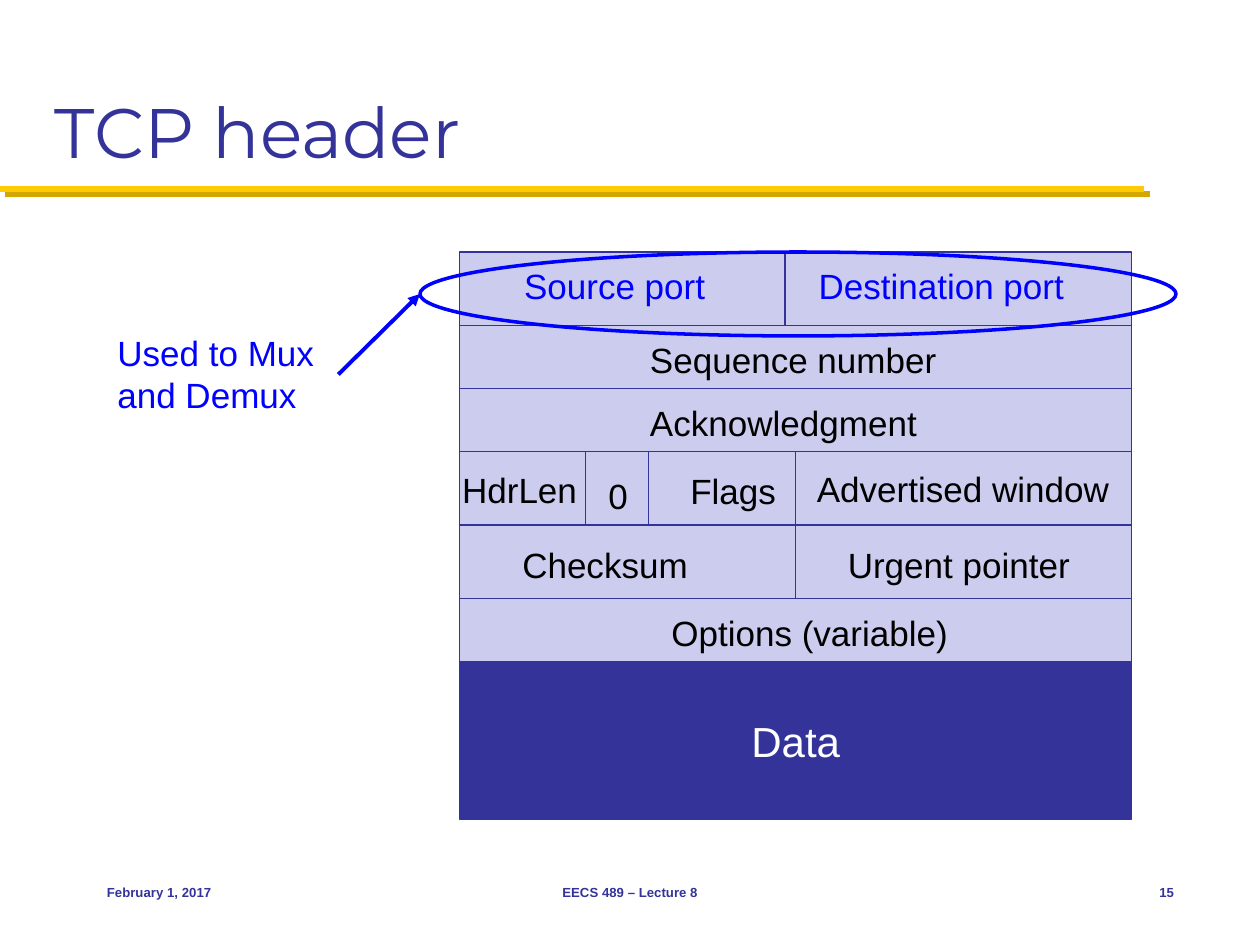
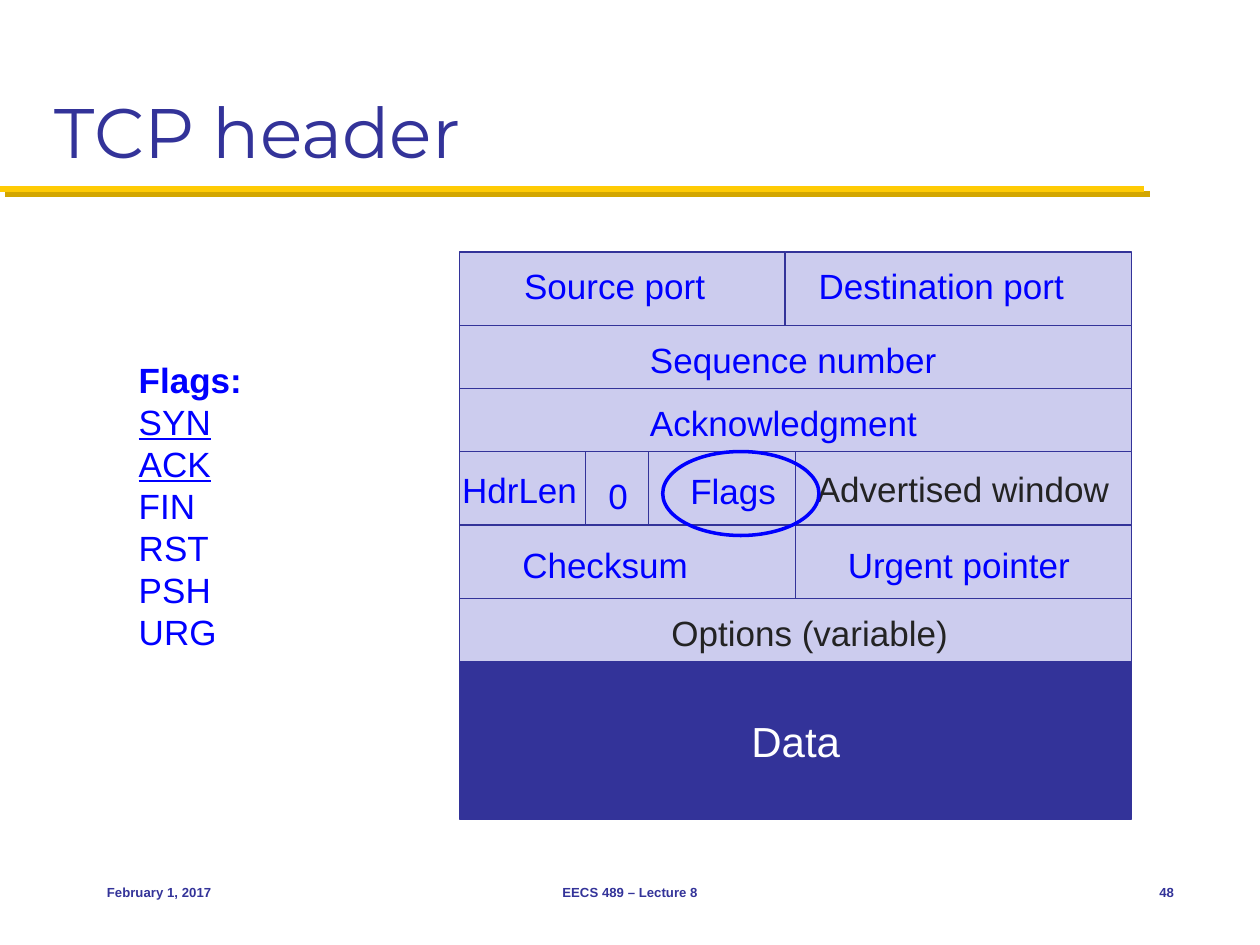
from dataclasses import dataclass
from itertools import accumulate
from typing import Any, NamedTuple

from lxml import etree
from pptx import Presentation, util as u
from pptx.dml import color
from pptx.enum import shapes, text
from pptx.oxml import ns

Pt = u.Pt
ALIGN, ANCHOR, AUTO = text.PP_ALIGN, text.MSO_ANCHOR, text.MSO_AUTO_SIZE


@dataclass(frozen=True)
class Theme:
    navy: str = "333399"
    lilac: str = "CCCCEE"
    blue: str = "0000FF"
    black: str = "000000"
    charcoal: str = "232323"
    white: str = "FFFFFF"
    gold: str = "FFCB05"
    dark_gold: str = "D3A600"
    title_font: str = "Montserrat"
    body_font: str = "Arial"
    title_size: float = 40
    data_size: float = 24
    body_size: float = 20
    footer_size: float = 7.5
    border: float = 0.75
    ring: float = 2
    arrow: float = 2.25
    rule: float = 3.5


T = Theme()


class Box(NamedTuple):
    x: float
    y: float
    w: float
    h: float


class Line(NamedTuple):
    """A paragraph with its character format."""
    text: str
    fmt: dict[str, Any] = {}


class Label(NamedTuple):
    """A field name, placed from the top left corner of its row."""
    text: str
    dx: float
    dy: float
    w: float
    filled: bool = True


class Row(NamedTuple):
    height: float
    widths: tuple[float, ...]
    labels: tuple[Label, ...]
    dividers: tuple[float, ...] = ()


class Footer(NamedTuple):
    x: float
    w: float
    align: Any


# Header diagram: rows from top to bottom
LEFT, TOP, WIDTH, DATA_HEIGHT, LABEL_HEIGHT = 262.67, 144, 384, 90, 31
HALF = WIDTH / 2
ROWS = (
    Row(42, (186, 198), (Label("Source port", 29.7, 3.6, 120),
                         Label("Destination port", 198, 3.6, 157))),
    Row(36, (WIDTH,), (Label("Sequence number", 101.7, 4, 180),)),
    Row(36, (WIDTH,), (Label("Acknowledgment", 101.7, 4, 169),)),
    Row(42, (HALF, HALF), (Label("Advertised window", 197, 5.5, 184),
                           Label("HdrLen", -5.7, 6, 84, False),
                           Label("Flags", 124.7, 7, 65),
                           Label("0", 77.9, 9.6, 27)), (72, 108)),
    Row(42, (HALF, HALF), (Label("Checksum", 28.7, 7, 111),
                           Label("Urgent pointer", 214.7, 7, 144))),
    Row(36, (WIDTH,), (Label("Options (variable)", 113.9, 4, 175),)),
)
FOOTERS = (Footer(54, 150, ALIGN.LEFT), Footer(246, 228, ALIGN.CENTER),
           Footer(630, 48, ALIGN.RIGHT))


def rgb(value: str) -> color.RGBColor:
    return color.RGBColor.from_string(value)


def apply(obj: Any, values: dict[str, Any]) -> None:
    for name, value in values.items():
        setattr(obj, name, value)


def write(tf: Any, lines: list[Line], ink: str, size: float = T.body_size,
          font: str = T.body_font, align: Any = ALIGN.LEFT, **frame: Any) -> None:
    apply(tf, frame)
    for i, line in enumerate(lines):
        p = tf.add_paragraph() if i else tf.paragraphs[0]
        p.alignment = align
        r = p.add_run()
        r.text = line.text
        apply(r.font, {"name": font, "size": Pt(size), **line.fmt})
        r.font.color.rgb = rgb(ink)


def add_text(s: Any, box: Box, lines: list[Line], ink: str, fill: str = "",
             **style: Any) -> None:
    sp = s.shapes.add_textbox(*map(Pt, box))
    if fill:
        sp.fill.solid()
        sp.fill.fore_color.rgb = rgb(fill)
    write(sp.text_frame, lines, ink, **style)


def add_shape(s: Any, kind: Any, box: Box, line: str, width: float,
              fill: str = "") -> Any:
    sp = s.shapes.add_shape(kind, *map(Pt, box))
    sp.shadow.inherit = False
    if fill:
        sp.fill.solid()
        sp.fill.fore_color.rgb = rgb(fill)
    else:
        sp.fill.background()
    sp.line.color.rgb = rgb(line)
    sp.line.width = Pt(width)
    return sp


def add_line(s: Any, x1: float, y1: float, x2: float, y2: float, ink: str,
             width: float, arrow: bool = False, shadow: str = "") -> None:
    sp = s.shapes.add_connector(shapes.MSO_CONNECTOR.STRAIGHT,
                                *map(Pt, (x1, y1, x2, y2)))
    sp.line.color.rgb = rgb(ink)
    sp.line.width = Pt(width)
    if arrow:
        etree.SubElement(sp.line._get_or_add_ln(), ns.qn("a:tailEnd"), type="triangle")
    effects = etree.SubElement(sp._element.spPr, ns.qn("a:effectLst"))
    if shadow:
        cast = etree.SubElement(effects, ns.qn("a:outerShdw"), blurRad="0",
                                dist=str(Pt(4.2)), dir="2700000", rotWithShape="0")
        etree.SubElement(cast, ns.qn("a:srgbClr"), val=shadow)


def add_ring(s: Any, box: Box) -> None:
    add_shape(s, shapes.MSO_SHAPE.OVAL, box, T.blue, T.ring)


def add_base(prs: Any, title: str, number: int) -> Any:
    """Slide with gold rule, title and footers."""
    s = prs.slides.add_slide(prs.slide_layouts[5])
    add_line(s, 0, 108, 654, 108, T.gold, T.rule, shadow=T.dark_gold)
    sp = s.shapes.title
    apply(sp, dict(zip(("left", "top", "width", "height"), map(Pt, (24, 12, 672, 90)))))
    write(sp.text_frame, [Line(title)], T.navy, T.title_size, T.title_font,
          vertical_anchor=ANCHOR.BOTTOM, auto_size=AUTO.NONE, word_wrap=True)
    for f, words in zip(FOOTERS, ("February 1, 2017", "EECS 489 – Lecture 8", str(number))):
        add_text(s, Box(f.x, 492, f.w, 36), [Line(words, {"bold": True})], T.navy,
                 size=T.footer_size, align=f.align, vertical_anchor=ANCHOR.MIDDLE,
                 word_wrap=True)
    return s


def add_header(s: Any, marked: set[str], plain: str) -> None:
    """TCP header diagram; marked fields are blue, the others plain."""
    rect = shapes.MSO_SHAPE.RECTANGLE
    y = TOP
    for row in ROWS:
        for x, w in zip(accumulate(row.widths, initial=LEFT), row.widths):
            add_shape(s, rect, Box(x, y, w, row.height), T.navy, T.border, T.lilac)
        for dx in row.dividers:
            add_line(s, LEFT + dx, y, LEFT + dx, y + row.height, T.navy, T.border)
        for label in row.labels:
            add_text(s, Box(LEFT + label.dx, y + label.dy, label.w, LABEL_HEIGHT),
                     [Line(label.text)], T.blue if label.text in marked else plain,
                     T.lilac if label.filled else "", word_wrap=not label.filled,
                     auto_size=AUTO.SHAPE_TO_FIT_TEXT)
        y += row.height
    data = add_shape(s, rect, Box(LEFT, y, WIDTH, DATA_HEIGHT), T.navy, T.border, T.navy)
    write(data.text_frame, [Line("Data")], T.white, T.data_size, align=ALIGN.CENTER,
          vertical_anchor=ANCHOR.MIDDLE, word_wrap=False)


def ports_slide(prs: Any) -> None:
    s = add_base(prs, "TCP header", 15)
    add_header(s, {"Source port", "Destination port"}, T.black)
    add_text(s, Box(60, 186, 133, 55.5), [Line("Used to Mux"), Line("and Demux")],
             T.blue, word_wrap=True, auto_size=AUTO.SHAPE_TO_FIT_TEXT)
    add_ring(s, Box(240, TOP, 432, 48))
    add_line(s, 193.3, 214, 240, 168, T.blue, T.arrow, arrow=True)


def flags_slide(prs: Any) -> None:
    s = add_base(prs, "TCP header", 48)
    fields = {label.text for row in ROWS for label in row.labels}
    add_header(s, fields - {"Advertised window", "Options (variable)"}, T.charcoal)
    add_ring(s, Box(378.7, 258, 89.3, 48))
    flags = [Line("Flags:", {"bold": True})]
    flags += [Line(name, {"underline": True}) for name in ("SYN", "ACK")]
    flags += [Line(name) for name in ("FIN", "RST", "PSH", "URG")]
    add_text(s, Box(72.2, 201.3, 168, 201), flags, T.blue, word_wrap=True,
             auto_size=AUTO.SHAPE_TO_FIT_TEXT)


def main() -> None:
    prs = Presentation()
    prs.slide_width, prs.slide_height = Pt(720), Pt(540)
    ports_slide(prs)
    flags_slide(prs)
    prs.save("out.pptx")


main()
